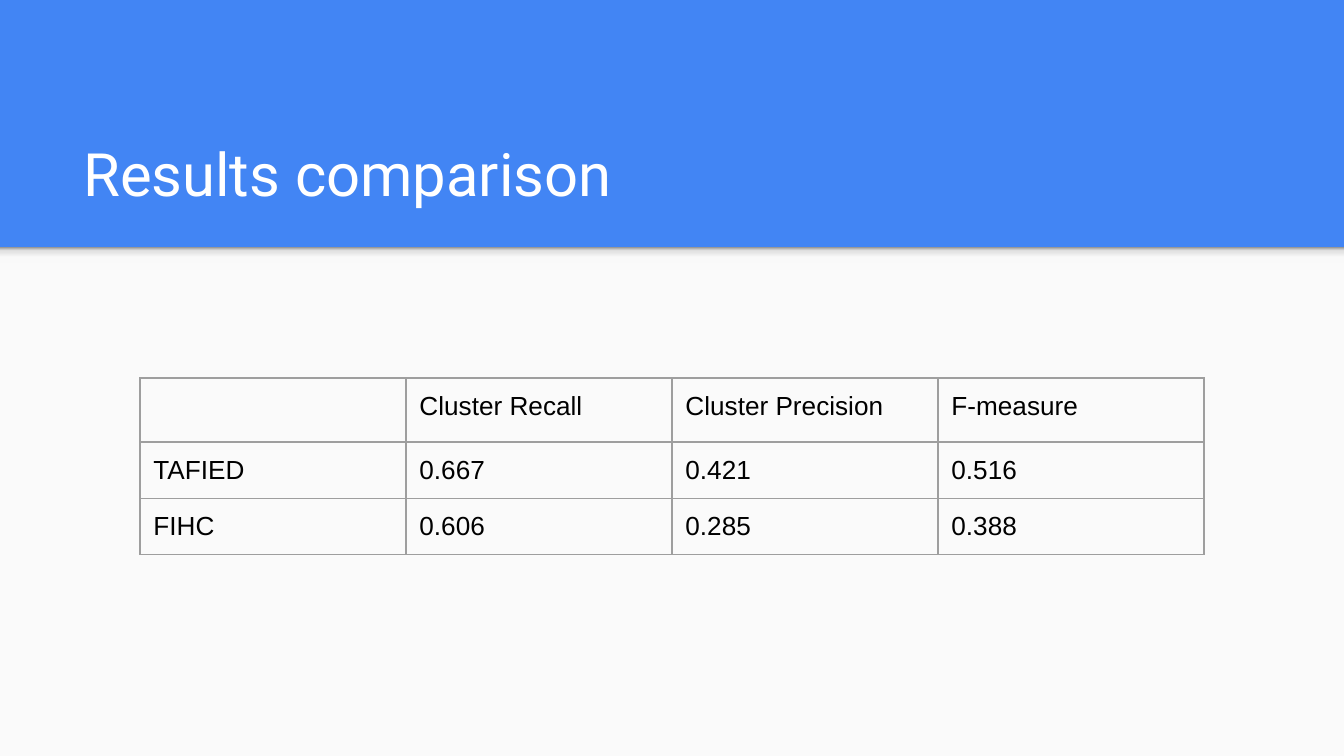
from dataclasses import dataclass

from lxml import etree
from pptx import Presentation
from pptx.dml.color import RGBColor
from pptx.enum import shapes, text
from pptx.oxml import ns
from pptx.util import Pt


@dataclass(frozen=True)
class Theme:
    blue: str = "4285F4"
    paper: str = "FAFAFA"
    white: str = "FFFFFF"
    ink: str = "000000"
    rule: str = "9E9E9E"
    shade: tuple = ((0, "F9F9F9"), (36, "F9F9F9"), (80, "DEDEDE"), (100, "999999"))
    head: str = "Roboto"
    body: str = "Arial"
    big: int = 32
    small: int = 14
    pad: float = 7.2


T = Theme()
WIDTH, HEIGHT, BAND = 720, 405, 132.5
ROWS = (
    ("", "Cluster Recall", "Cluster Precision", "F-measure"),
    ("TAFIED", "0.667", "0.421", "0.516"),
    ("FIHC", "0.606", "0.285", "0.388"),
)


def rgb(code):
    return RGBColor.from_string(code)


def node(up, tag, **attrs):
    return etree.SubElement(up, ns.qn(tag), **attrs)


def style(para, font, size, color):
    para.font.name, para.font.size = font, Pt(size)
    para.font.color.rgb = rgb(color)


def inset(item):
    item.margin_left = item.margin_right = Pt(T.pad)
    item.margin_top = item.margin_bottom = Pt(T.pad)
    item.vertical_anchor = text.MSO_ANCHOR.TOP


def panel(slide, top, height):
    box = slide.shapes.add_shape(
        shapes.MSO_SHAPE.RECTANGLE, 0, Pt(top), Pt(WIDTH), Pt(height))
    box.shadow.inherit = False
    box.line.fill.background()
    box.fill.solid()
    box.fill.fore_color.rgb = rgb(T.paper)
    return box


def fade(box):
    """Fill a panel with the soft shade, darkest at its top."""
    box.fill.gradient()
    box.fill.gradient_angle = 90
    stops = box.fill._fill._gradFill.find(ns.qn("a:gsLst"))
    for stop in list(stops):
        stops.remove(stop)
    for place, color in T.shade:
        stop = node(stops, "a:gs", pos=str(place * 1000))
        node(stop, "a:srgbClr", val=color)


def title(slide, words):
    box = slide.shapes.title
    box.left, box.top, box.width, box.height = Pt(37.4), Pt(58.3), Pt(647), Pt(60.5)
    frame = box.text_frame
    frame.text = words
    inset(frame)
    frame.word_wrap = True
    frame.auto_size = text.MSO_AUTO_SIZE.NONE
    frame.vertical_anchor = text.MSO_ANCHOR.BOTTOM
    para = frame.paragraphs[0]
    para.alignment = text.PP_ALIGN.LEFT
    style(para, T.head, T.big, T.white)


def border(cell):
    props = cell._tc.get_or_add_tcPr()
    for spot, side in enumerate(("a:lnL", "a:lnR", "a:lnT", "a:lnB")):
        line = etree.Element(ns.qn(side), w=str(Pt(0.75)))
        node(node(line, "a:solidFill"), "a:srgbClr", val=T.rule)
        props.insert(spot, line)


def table(slide, rows, left, top, wide, heights):
    grid = slide.shapes.add_table(
        len(rows), len(rows[0]), Pt(left), Pt(top),
        Pt(wide * len(rows[0])), Pt(sum(heights))).table
    grid.first_row = grid.horz_banding = False
    for col in grid.columns:
        col.width = Pt(wide)
    for row, high, words in zip(grid.rows, heights, rows):
        row.height = Pt(high)
        for cell, word in zip(row.cells, words):
            cell.text = word
            inset(cell)
            cell.fill.background()
            border(cell)
            style(cell.text_frame.paragraphs[0], T.body, T.small, T.ink)


def main():
    deck = Presentation()
    deck.slide_width, deck.slide_height = Pt(WIDTH), Pt(HEIGHT)
    slide = deck.slides.add_slide(deck.slide_layouts[5])

    # Blue band above a pale panel with a soft edge
    back = slide.background.fill
    back.solid()
    back.fore_color.rgb = rgb(T.blue)
    panel(slide, BAND, HEIGHT - BAND)
    fade(panel(slide, BAND, 8.5))

    # Heading and scores
    title(slide, "Results comparison")
    table(slide, ROWS, 75, 202.5, 142.5, (34.3, 30, 30))

    deck.save("out.pptx")


if __name__ == "__main__":
    main()
